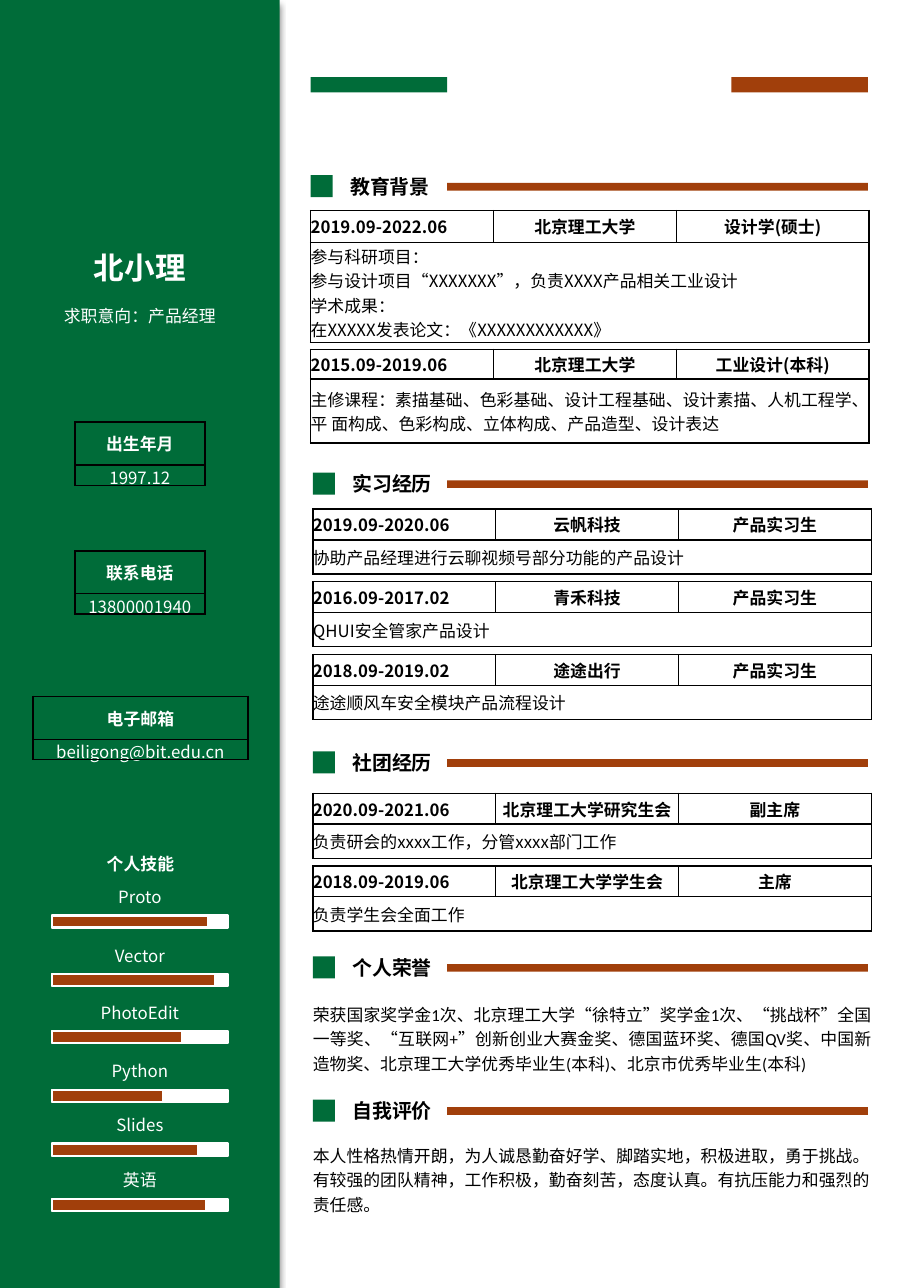
from lxml.etree import SubElement
from pptx import Presentation
from pptx.dml.color import RGBColor
from pptx.enum.shapes import MSO_SHAPE as Preset
from pptx.enum.text import MSO_ANCHOR as Anchor, MSO_AUTO_SIZE as Fit, PP_ALIGN as Align
from pptx.oxml.ns import qn
from pptx.util import Emu, Pt

PX = 9144
COLORS = {"green": "006C39", "rust": "A13F0B", "white": "FFFFFF", "black": "000000"}
SANS, BODY = "Noto Sans CJK SC", "Calibri"


def bar(parent, box, color, outline=None):
    block = parent.add_shape(Preset.RECTANGLE, *[Emu(n * PX) for n in box])
    block.shadow.inherit = False
    block.fill.solid()
    block.fill.fore_color.rgb = RGBColor.from_string(COLORS[color])
    if outline:
        block.line.color.rgb = RGBColor.from_string(COLORS[outline])
        block.line.width = Pt(1.5)
    else:
        block.line.fill.background()
    return block


def write(frame, lines, color, size=11, bold=False, align=Align.CENTER, spacing=None, face=SANS):
    frame.word_wrap = True
    for i, line in enumerate(lines):
        paragraph = frame.paragraphs[0] if i == 0 else frame.add_paragraph()
        paragraph.alignment = align
        if spacing:
            paragraph.line_spacing = Pt(spacing)
        run = paragraph.add_run()
        run.text = line
        for name, value in {"name": face, "size": Pt(size), "bold": bold}.items():
            setattr(run.font, name, value)
        run.font.color.rgb = RGBColor.from_string(COLORS[color])
        east_asian = SubElement(run.font._element, qn("a:ea"))
        east_asian.set("typeface", SANS)


resume = Presentation()
resume.slide_width, resume.slide_height = Emu(827 * PX), Emu(1169 * PX)
page = resume.slides.add_slide(resume.slide_layouts[6]).shapes

sidebar = bar(page, (0, 0, 254, 1169), "green")
effects = sidebar._element.spPr.find(qn("a:effectLst"))
shade = SubElement(effects, qn("a:outerShdw"), blurRad="50800", dist="38100", dir="5400000", algn="t", rotWithShape="0")
tint = SubElement(shade, qn("a:srgbClr"), val=COLORS["black"])
SubElement(tint, qn("a:alpha"), val="40000")

for left, color in ((282, "green"), (664, "rust")):
    bar(page, (left, 70, 124, 14), color)

passages = [
    ((59, 226, 136, 32), (10, 0), "北小理", {"color": "white", "size": 20, "bold": True}),
    ((38, 277, 178, 18), (10, 0), "求职意向：产品经理", {"color": "white"}),
    ((284, 903, 507, 76), (0, 5),
     "荣获国家奖学金1次、北京理工大学“徐特立”奖学金1次、“挑战杯”全国一等奖、“互联网+”创新创业大赛金奖、"
     "德国蓝环奖、德国QV奖、中国新造物奖、北京理工大学优秀毕业生(本科)、北京市优秀毕业生(本科)",
     {"color": "black", "align": Align.JUSTIFY, "spacing": 16, "face": BODY}),
    ((284, 1031, 507, 76), (0, 5),
     "本人性格热情开朗，为人诚恳勤奋好学、脚踏实地，积极进取，勇于挑战。有较强的团队精神，工作积极，"
     "勤奋刻苦，态度认真。有抗压能力和强烈的责任感。",
     {"color": "black", "align": Align.LEFT, "spacing": 16, "face": BODY}),
]
for box, (side, end), words, style in passages:
    frame = page.add_textbox(*[Emu(n * PX) for n in box]).text_frame
    frame.margin_left = frame.margin_right = Emu(side * PX)
    frame.margin_top = frame.margin_bottom = Emu(end * PX)
    write(frame, [words], **style)

skills = [("Proto", 800, 142), ("Vector", 853, 148), ("PhotoEdit", 905, 118),
          ("Python", 958, 101), ("Slides", 1007, 133), ("英语", 1057, 140)]
for skill, top, level in skills:
    meter = page.add_group_shape().shapes
    label = meter.add_textbox(*[Emu(n * PX) for n in (18, top, 218, 29)]).text_frame
    write(label, [skill], "white")
    label.auto_size = Fit.SHAPE_TO_FIT_TEXT
    for width, color in ((160, "white"), (level, "rust")):
        bar(meter, (47, top + 31, width, 11), color, "white")

sections = [("教育背景", 282, 159), ("实习经历", 284, 429), ("社团经历", 284, 682),
            ("个人荣誉", 284, 868), ("自我评价", 284, 998)]
for section, left, top in sections:
    heading = page.add_group_shape().shapes
    title = heading.add_textbox(*[Emu(n * PX) for n in (left + 20, top, 104, 20)]).text_frame
    title.margin_left = title.margin_right = title.margin_top = title.margin_bottom = 0
    title.vertical_anchor = Anchor.MIDDLE
    write(title, [section], "black", size=13, bold=True)
    bar(heading, (left, top, 20, 20), "green")
    bar(heading, (406, top + 7, 382, 7), "rust")

CONTACT, RECORD, JOB = (39, 18), (166, 166, 175), (28, 31)
tables = [
    (68, 383, (118,), CONTACT, ["出生年月"], ["1997.12"]),
    (68, 500, (118,), CONTACT, ["联系电话"], ["13800001940"]),
    (30, 632, (195,), CONTACT, ["电子邮箱"], ["beiligong@bit.edu.cn"]),
    (30, 764, (195,), (39,), ["个人技能"], []),
    (282, 191, RECORD, (29, 91), ["2019.09-2022.06", "北京理工大学", "设计学(硕士)"],
     ["参与科研项目：", "参与设计项目“XXXXXXX”，负责XXXX产品相关工业设计",
      "学术成果：", "在XXXXX发表论文：《XXXXXXXXXXXX》"]),
    (282, 317, RECORD, (27, 58), ["2015.09-2019.06", "北京理工大学", "工业设计(本科)"],
     ["主修课程：素描基础、色彩基础、设计工程基础、设计素描、人机工程学、平 面构成、色彩构成、立体构成、产品造型、设计表达"]),
    (284, 462, RECORD, JOB, ["2019.09-2020.06", "云帆科技", "产品实习生"],
     ["协助产品经理进行云聊视频号部分功能的产品设计"]),
    (284, 528, RECORD, JOB, ["2016.09-2017.02", "青禾科技", "产品实习生"], ["QHUI安全管家产品设计"]),
    (284, 594, RECORD, JOB, ["2018.09-2019.02", "途途出行", "产品实习生"], ["途途顺风车安全模块产品流程设计"]),
    (284, 720, RECORD, JOB, ["2020.09-2021.06", "北京理工大学研究生会", "副主席"],
     ["负责研会的xxxx工作，分管xxxx部门工作"]),
    (284, 786, RECORD, JOB, ["2018.09-2019.06", "北京理工大学学生会", "主席"], ["负责学生会全面工作"]),
]
for left, top, widths, heights, header, details in tables:
    box = [Emu(n * PX) for n in (left, top, sum(widths), sum(heights))]
    grid = page.add_table(len(heights), len(widths), *box).table
    grid.first_row = grid.horz_banding = False
    for column, width in zip(grid.columns, widths):
        column.width = Emu(width * PX)
    for row, height in zip(grid.rows, heights):
        row.height = Emu(height * PX)
    for cell in grid.iter_cells():
        for name in ("margin_left", "margin_right", "margin_top", "margin_bottom"):
            setattr(cell, name, 0)
        cell.vertical_anchor = Anchor.MIDDLE
        for side in ("lnL", "lnR", "lnT", "lnB"):
            edge = SubElement(cell._tc.get_or_add_tcPr(), qn("a:" + side), w="12700")
            if details:
                SubElement(SubElement(edge, qn("a:solidFill")), qn("a:srgbClr"), val=COLORS["black"])
            else:
                SubElement(edge, qn("a:noFill"))
        cell.fill.background()
    is_record = widths == RECORD
    ink = "black" if is_record else "white"
    for i, words in enumerate(header):
        align = Align.LEFT if is_record and i == 0 else Align.CENTER
        write(grid.cell(0, i).text_frame, [words], ink, bold=True, align=align)
    if is_record:
        grid.cell(1, 0).merge(grid.cell(1, 2))
        write(grid.cell(1, 0).text_frame, details, ink, align=Align.JUSTIFY, spacing=16)
    elif details:
        write(grid.cell(1, 0).text_frame, details, ink)

resume.save("out.pptx")
